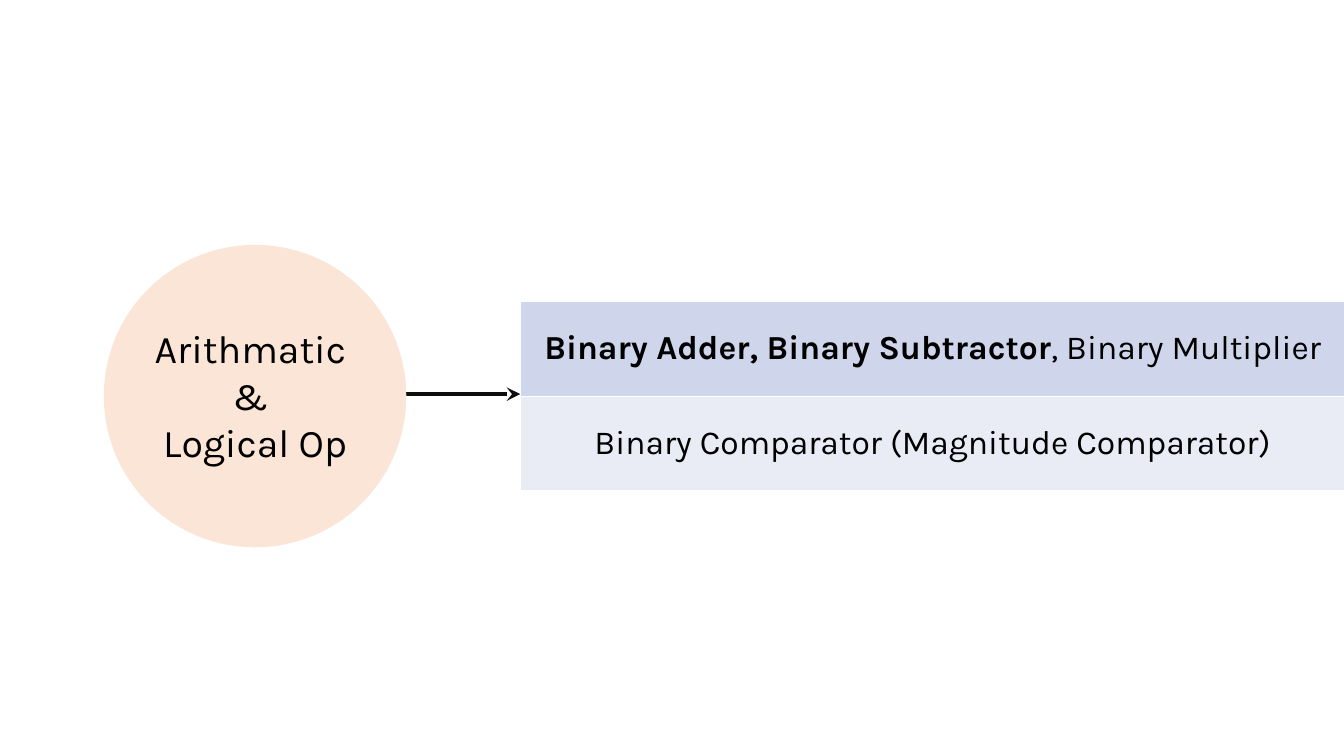
import pptx
import pptx.dml.color
import pptx.enum.shapes
import pptx.enum.text
import pptx.oxml
import pptx.oxml.ns
import pptx.util
from lxml import etree

Inches = pptx.util.Inches
RGB = pptx.dml.color.RGBColor
Shape = pptx.enum.shapes.MSO_SHAPE
Anchor = pptx.enum.text.MSO_ANCHOR

BLACK = RGB(0x00, 0x00, 0x00)
INK = RGB(0x0D, 0x0D, 0x0D)
PEACH = RGB(0xFB, 0xE5, 0xD6)
BLUE = RGB(0xCF, 0xD5, 0xEA)
PALE = RGB(0xE9, 0xEB, 0xF5)
WHITE = RGB(0xFF, 0xFF, 0xFF)


def add_xml(parent, tag, **attrs):
    return etree.SubElement(parent, pptx.oxml.ns.qn(tag), **attrs)


class Board:
    font = "Karla"

    def __init__(self, slide):
        self.slide = slide

    def fill_text(self, para, runs, size):
        """Fill a centred paragraph with (text, bold) runs."""
        para.alignment = pptx.enum.text.PP_ALIGN.CENTER
        para.font.name = self.font
        para.font.size = pptx.util.Pt(size)
        para.font.color.rgb = BLACK
        for text, bold in runs:
            run = para.add_run()
            run.text = text
            run.font.bold = bold

    def shape(self, kind, left, top, width, height, fill):
        item = self.slide.shapes.add_shape(
            kind, Inches(left), Inches(top), Inches(width), Inches(height))
        item.shadow.inherit = False
        item.fill.solid()
        item.fill.fore_color.rgb = fill
        item.line.fill.background()
        return item

    def label(self, left, top, width, height, fill, lines, size):
        box = self.shape(Shape.RECTANGLE, left, top, width, height, fill)
        frame = box.text_frame
        frame.word_wrap = False
        frame.vertical_anchor = Anchor.TOP
        for i, line in enumerate(lines):
            para = frame.add_paragraph() if i else frame.paragraphs[0]
            self.fill_text(para, [(line, False)], size)

    def arrow(self, start, end, y, color, width):
        link = self.slide.shapes.add_connector(
            pptx.enum.shapes.MSO_CONNECTOR.STRAIGHT,
            Inches(start), Inches(y), Inches(end), Inches(y))
        link.line.color.rgb = color
        link.line.width = pptx.util.Pt(width)
        props = link._element.spPr
        add_xml(props.find(pptx.oxml.ns.qn("a:ln")), "a:tailEnd", type="stealth")
        add_xml(props, "a:effectLst")

    def border(self, cell, color, width):
        props = cell._tc.get_or_add_tcPr()
        for i, side in enumerate(("a:lnL", "a:lnR", "a:lnT", "a:lnB")):
            line = add_xml(props, side, w=str(pptx.util.Pt(width)))
            add_xml(add_xml(line, "a:solidFill"), "a:srgbClr", val=str(color))
            props.insert(i, line)

    def table(self, left, top, width, step, rows, size):
        """Stack one-column rows, each a (fill, runs) pair."""
        grid = self.slide.shapes.add_table(
            len(rows), 1, Inches(left), Inches(top),
            Inches(width), Inches(step * len(rows))).table
        grid.first_row = False
        grid.horz_banding = False
        for i, (fill, runs) in enumerate(rows):
            grid.rows[i].height = Inches(step)
            cell = grid.cell(i, 0)
            cell.fill.solid()
            cell.fill.fore_color.rgb = fill
            cell.vertical_anchor = Anchor.MIDDLE
            self.border(cell, WHITE, 1)
            self.fill_text(cell.text_frame.paragraphs[0], runs, size)


def main():
    deck = pptx.Presentation()
    deck.slide_width = Inches(13.33)
    deck.slide_height = Inches(7.5)
    board = Board(deck.slides.add_slide(deck.slide_layouts[6]))

    board.arrow(4.03, 5.16, 3.91, INK, 3.25)
    board.shape(Shape.OVAL, 1.03, 2.43, 3, 3, PEACH)
    board.label(1.48, 3.17, 2.1, 1.51, PEACH,
                ["Arithmatic ", "& ", "Logical Op"], 28)
    board.table(5.16, 2.99, 8.18, 0.94, [
        (BLUE, [("Binary Adder, Binary Subtractor", True),
                (", Binary Multiplier", False)]),
        (PALE, [("Binary Comparator (Magnitude Comparator)", False)]),
    ], 24)
    deck.save("out.pptx")


if __name__ == "__main__":
    main()
